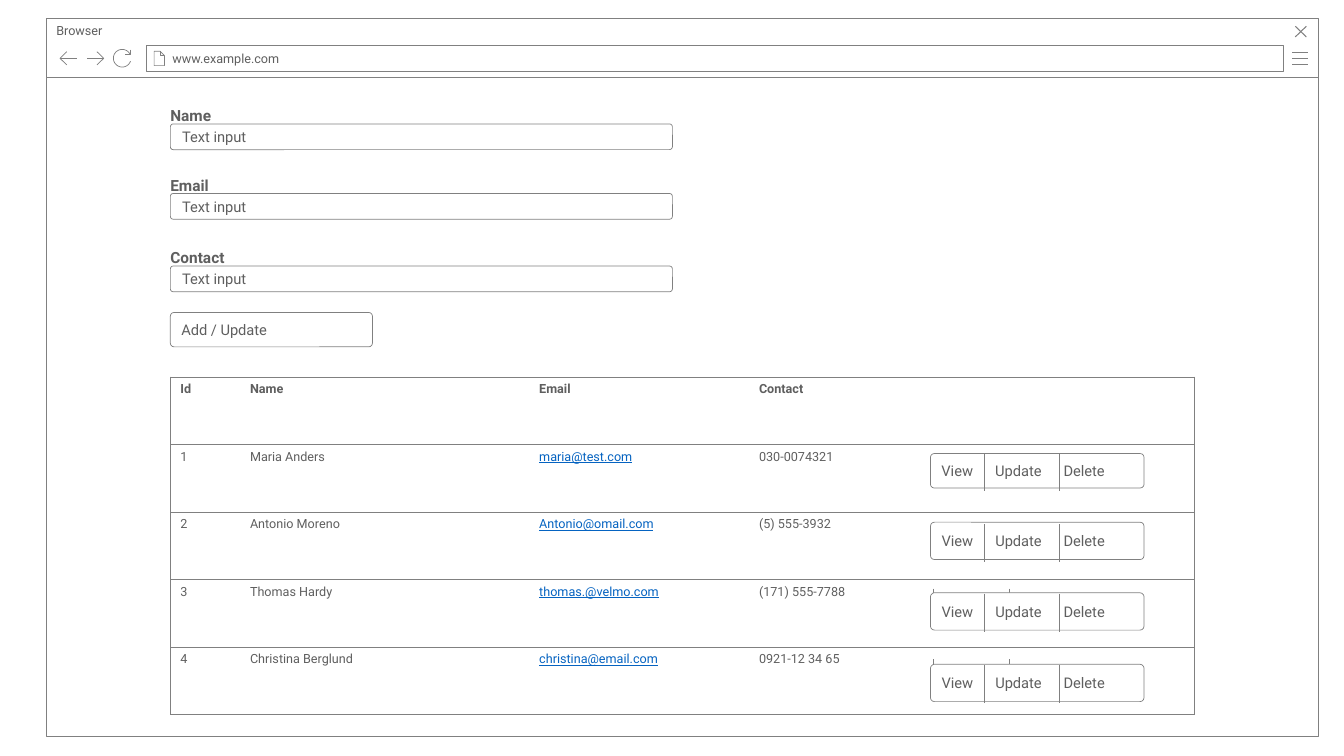
from math import cos, radians, sin

from lxml.etree import SubElement
from pptx import Presentation
from pptx.dml.color import RGBColor
from pptx.enum.shapes import MSO_CONNECTOR, MSO_SHAPE
from pptx.enum.text import MSO_ANCHOR, PP_ALIGN
from pptx.oxml import parse_xml
from pptx.oxml.ns import nsdecls, qn
from pptx.util import Pt

COLORS = {"line": "808080", "text": "5F5F5F", "link": "0563C1", "white": "FFFFFF"}
FONT = "Roboto"
LINE = 0.5


def rgb(name):
    return RGBColor.from_string(COLORS[name])


def set_text(tf, text, size, bold=False, color="text"):
    tf.text = text
    p = tf.paragraphs[0]
    p.alignment = PP_ALIGN.LEFT
    for r in p.runs:
        r.font.name, r.font.size, r.font.bold = FONT, Pt(size), bold
        r.font.color.rgb = rgb(color)
    return p


def set_margins(tf, left, top=0, right=None):
    tf.margin_left, tf.margin_right = Pt(left), Pt(left if right is None else right)
    tf.margin_top = tf.margin_bottom = Pt(top)


def outline(sp, width=LINE):
    sp.shadow.inherit = False
    sp.line.color.rgb = rgb("line")
    sp.line.width = Pt(width)


def add_box(s, x, y, w, h, text="", size=9, inset=7.2, radius=None):
    kind = MSO_SHAPE.RECTANGLE if radius is None else MSO_SHAPE.ROUNDED_RECTANGLE
    sp = s.shapes.add_shape(kind, Pt(x), Pt(y), Pt(w), Pt(h))
    if radius is not None:
        sp.adjustments[0] = radius
    sp.fill.solid()
    sp.fill.fore_color.rgb = rgb("white")
    outline(sp)
    if text:
        tf = sp.text_frame
        tf.word_wrap = True
        tf.vertical_anchor = MSO_ANCHOR.MIDDLE
        set_margins(tf, inset, right=7.2)
        set_text(tf, text, size)
    return sp


def add_icon(s, x, y, strokes, width=LINE):
    """Draw open strokes, each a list of points relative to (x, y)."""
    strokes = [[(Pt(x + a), Pt(y + b)) for a, b in stroke] for stroke in strokes]
    builder = s.shapes.build_freeform(*strokes[0][0])
    for i, (start, *rest) in enumerate(strokes):
        if i:
            builder.move_to(*start)
        builder.add_line_segments(rest, close=False)
    sp = builder.convert_to_shape()
    sp.fill.background()
    outline(sp, width)


def add_vline(s, x, y, h):
    ln = s.shapes.add_connector(MSO_CONNECTOR.STRAIGHT, Pt(x), Pt(y), Pt(x), Pt(y + h))
    ln.line.color.rgb = rgb("line")
    ln.line.width = Pt(LINE)
    SubElement(ln._element.spPr, qn("a:effectLst"))


def add_browser(s, x, y, w, h, bar_h=42.5):
    # Page area and title bar
    add_box(s, x, y + bar_h, w, h - bar_h)
    title = add_box(s, x, y, w, bar_h, "Browser").text_frame
    title.vertical_anchor = MSO_ANCHOR.TOP
    set_margins(title, 7.2, 3.6)
    # Menu and close icons
    add_icon(s, x + w - 18.7, y + 24.5, [[(0, d), (11.5, d)] for d in (0, 4.3, 8.6)])
    add_icon(s, x + w - 16.5, y + 5.8, [[(7.9, 0), (0, 7.6)], [(0, 0), (7.9, 7.6)]], 0.75)
    # Address bar with page icon
    add_box(s, x + 71.3, y + 19.4, w - 96.4, 18.7, "www.example.com", inset=18.7)
    add_icon(s, x + 77, y + 23.6, [
        [(4.3, 0), (4.3, 3.1), (7.4, 3.1)],
        [(0, 0), (0, 10.3), (7.4, 10.3), (7.4, 3.1), (4.3, 0), (0, 0)]])
    # Back, forward and reload icons
    for left, tip, tail in ((9.8, 0, 12), (29, 12, 0)):
        head = tip + (tail - tip) * 0.4
        add_icon(s, x + left, y + 24, [
            [(head, 0), (tip, 4.7), (head, 9.4)], [(tip, 4.7), (tail, 4.7)]])
    arc = [(6.3 * cos(radians(a)), 6.3 * sin(radians(a))) for a in range(20, 331, 10)]
    add_icon(s, x + 54.2, y + 28.6, [[(6, -6.2), (6, -2.8), (2.3, -2.8)], arc])


def add_field(s, x, y, label):
    add_box(s, x, y + 15.8, 358.6, 18.4, "Text input", 10.5, 7.9, 0.11)
    tf = s.shapes.add_textbox(Pt(x), Pt(y), Pt(75), Pt(11.5)).text_frame
    tf.word_wrap = True
    set_margins(tf, 0)
    p = set_text(tf, label, 11, True)
    p.line_spacing, p.space_after = 1.25, Pt(5)


def set_borders(cell, sides):
    """Line the given sides (letters of LRTB) and clear the others."""
    for i, side in enumerate("LRTB"):
        fill = (f'<a:solidFill><a:srgbClr val="{COLORS["line"]}"/></a:solidFill>'
                if side in sides else "<a:noFill/>")
        cell._tc.get_or_add_tcPr().insert(i, parse_xml(
            f'<a:ln{side} {nsdecls("a")} w="{Pt(LINE)}">{fill}</a:ln{side}>'))


def add_contacts(s, x, y, col_widths, row_h, rows):
    n = len(col_widths)
    frame = s.shapes.add_table(len(rows), n, Pt(x), Pt(y),
                               Pt(sum(col_widths)), Pt(row_h * len(rows)))
    table = frame.table
    table.first_row = table.horz_banding = False
    for col, width in zip(table.columns, col_widths):
        col.width = Pt(width)
    for i, row in enumerate(rows):
        table.rows[i].height = Pt(row_h)
        for j in range(n):
            cell = table.cell(i, j)
            cell.fill.solid()
            cell.fill.fore_color.rgb = rgb("white")
            set_margins(cell, 7.2, 3.6)
            if j < len(row):
                link = i > 0 and j == 2
                p = set_text(cell.text_frame, row[j], 9, i == 0, "link" if link else "text")
                if link:
                    p.runs[0].font.underline = True
            set_borders(cell, "TB" + "L" * (j == 0) + "R" * (j == n - 1))


def add_actions(s, x, y, h, line_dy, behind_dy=None):
    dividers = (38.2, 92.2)
    # Divider pair showing behind the top edge
    if behind_dy is not None:
        for dx in dividers:
            add_vline(s, x + dx - 36, y + behind_dy, 27)
    bar = add_box(s, x, y, 152.6, h, "View\tUpdate\tDelete", 10.5, radius=0.11)
    tabs = SubElement(bar.text_frame.paragraphs[0]._p.get_or_add_pPr(), qn("a:tabLst"))
    for pos in (38.4, 87.2):
        SubElement(tabs, qn("a:tab"), pos=str(Pt(pos)), algn="l")
    for dx in dividers:
        add_vline(s, x + dx, y + line_dy, 27)


prs = Presentation()
prs.slide_width, prs.slide_height = Pt(960), Pt(540)
s = prs.slides.add_slide(prs.slide_layouts[6])

add_browser(s, 33.1, 13, 908.6, 513.3)

# Contact table
LEFT = 121.7
add_contacts(s, LEFT, 269.3, (49.7, 206.6, 157, 186.5, 131.8), 48.2, [
    ("Id", "Name", "Email", "Contact"),
    ("1", "Maria Anders", "maria@test.com", "030-0074321"),
    ("2", "Antonio Moreno", "Antonio@omail.com", "(5) 555-3932"),
    ("3", "Thomas Hardy", "thomas.@velmo.com", "(171) 555-7788"),
    ("4", "Christina Berglund", "christina@email.com", "0921-12 34 65"),
])

# Entry form
for label, top in (("Name", 72.7), ("Email", 122.4), ("Contact", 174.2)):
    add_field(s, LEFT, top, label)
add_box(s, LEFT, 223.2, 144.4, 24.6, "Add / Update", 10.5, radius=0.11)

# Row actions
for top, height, line_dy, behind_dy in (
        (324, 24.6, 0, None), (373, 26.7, 1.4, None),
        (423.4, 26.7, 0.7, -2.9), (474.5, 26.7, 0.7, -3.6)):
    add_actions(s, 664.6, top, height, line_dy, behind_dy)

prs.save("out.pptx")
